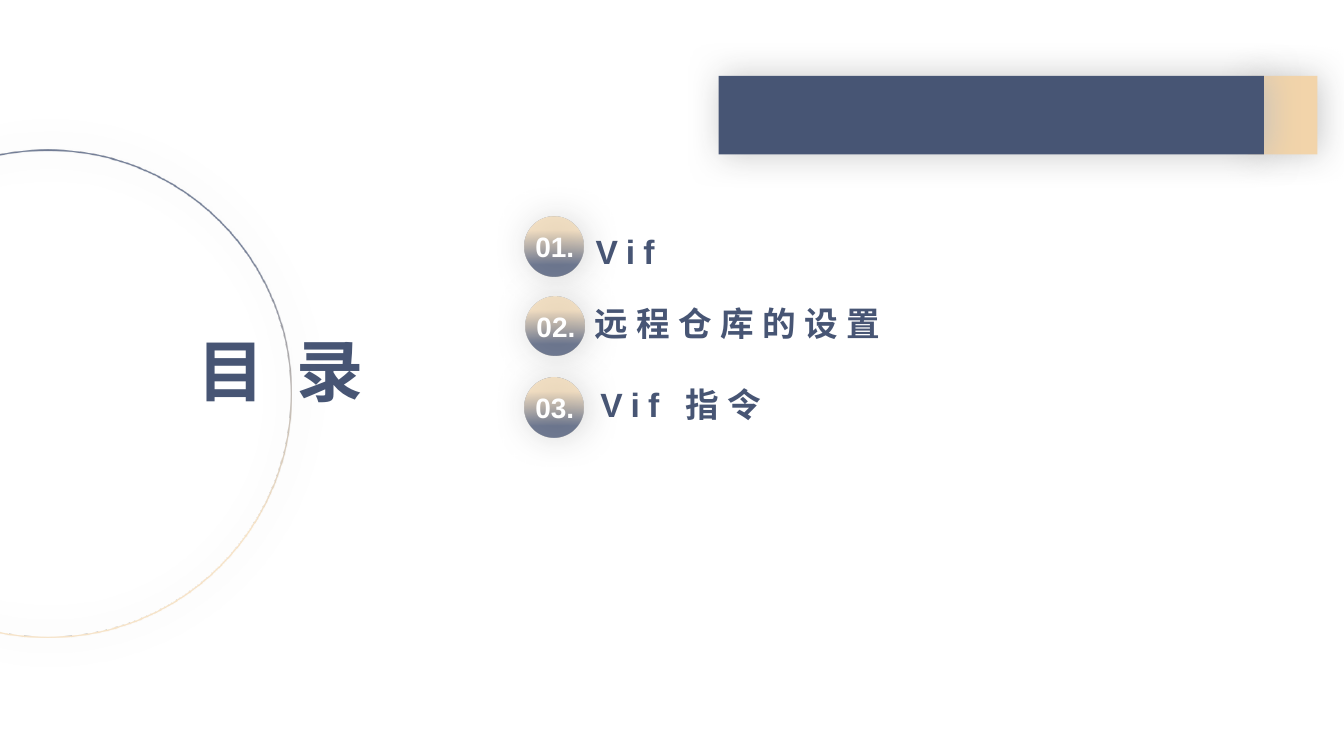
from dataclasses import dataclass

from lxml.etree import SubElement
from pptx import Presentation
from pptx.dml.color import RGBColor
from pptx.enum.shapes import MSO_SHAPE
from pptx.enum.text import MSO_AUTO_SIZE
from pptx.oxml.ns import qn
from pptx.util import Cm, Pt


@dataclass(frozen=True)
class Theme:
    """Colours, font and type sizes of the slide."""
    navy: str = "475574"
    sand: str = "F2D4AA"
    white: str = "FFFFFF"
    shade: str = "BFBFBF"
    font: str = "Arial"
    title: int = 48
    item: int = 24
    number: int = 20
    spacing: int = 6


THEME = Theme()
FADE = ((0.20, THEME.navy, 76), (0.77, THEME.sand, 66))


def add_alpha(color, percent):
    """Make a colour element partly transparent."""
    SubElement(color, qn("a:alpha"), val=str(percent * 1000))


def add_shadow(s):
    """Give a shape the soft grey shadow."""
    s.shadow.inherit = False
    effects = s._element.spPr.find(qn("a:effectLst"))
    outer = SubElement(effects, qn("a:outerShdw"), blurRad=str(Pt(24)),
                       dist=str(Pt(2)), dir="0", algn="ctr", rotWithShape="0")
    add_alpha(SubElement(outer, qn("a:srgbClr"), val=THEME.shade), 86)


def add_figure(shapes, kind, box, color=None, adj=None):
    """Add a borderless shape, solid in a colour or fading navy to sand."""
    s = shapes.add_shape(kind, *map(Cm, box))
    s.line.fill.background()
    if adj is not None:
        s.adjustments[0] = adj
    if color:
        s.fill.solid()
        s.fill.fore_color.rgb = RGBColor.from_string(color)
    else:
        s.fill.gradient()
        s.fill.gradient_angle = 270
        for stop, (position, tint, alpha) in zip(s.fill.gradient_stops, FADE):
            stop.position = position
            stop.color.rgb = RGBColor.from_string(tint)
            add_alpha(stop._gs.find(qn("a:srgbClr")), alpha)
    add_shadow(s)
    return s


def add_text(shapes, text, box, size, color, spacing=0, wrap=True):
    """Add a line of bold text, with letter spacing in points."""
    tf = shapes.add_textbox(*map(Cm, box)).text_frame
    tf.word_wrap = wrap
    tf.auto_size = MSO_AUTO_SIZE.SHAPE_TO_FIT_TEXT
    p = tf.paragraphs[0]
    p.font.name = THEME.font
    p.font.size = Pt(size)
    p.font.bold = True
    p.font.color.rgb = RGBColor.from_string(color)
    r = p.add_run()
    r.text = text
    if spacing:
        r.font._element.set("spc", str(spacing * 100))


def add_banner(slide):
    """Add the navy bar with its sand end."""
    shapes = slide.shapes.add_group_shape().shapes
    add_figure(shapes, MSO_SHAPE.RECTANGLE, (31.45, 1.91, 1.75, 1.98), THEME.sand)
    add_figure(shapes, MSO_SHAPE.ROUNDED_RECTANGLE, (18.11, 1.91, 13.74, 1.98),
               THEME.navy, 0)


def add_item(slide, number, text, badge, label):
    """Add a contents entry: a numbered badge and its label."""
    shapes = slide.shapes.add_group_shape().shapes
    left, top = badge
    s = add_figure(shapes, MSO_SHAPE.OVAL, (left, top, 1.5, 1.5))
    s._element.spPr.find(qn("a:xfrm")).set("flipV", "1")
    add_text(shapes, f"{number:02}.", (left + 0.03, top + 0.2, 2.31, 1.11),
             THEME.number, THEME.white)
    add_text(shapes, text, (*label, 1.27), THEME.item, THEME.navy,
             THEME.spacing, wrap=False)


def main():
    """Build the contents slide."""
    prs = Presentation()
    prs.slide_width, prs.slide_height = Cm(33.87), Cm(19.05)
    slide = prs.slides.add_slide(prs.slide_layouts[6])
    add_text(slide.shapes, "目 录", (4.72, 8.18, 5.41, 2.31),
             THEME.title, THEME.navy, THEME.spacing)
    add_banner(slide)
    add_figure(slide.shapes, MSO_SHAPE.DONUT, (-4.95, 3.77, 12.29, 12.29), adj=0.003)
    items = (
        ("Vif", (13.21, 5.47), (14.76, 5.7, 2.31)),
        ("远程仓库的设置", (13.24, 7.47), (14.73, 7.52, 8)),
        ("Vif 指令", (13.21, 9.52), (14.88, 9.55, 4.93)),
    )
    for number, (text, badge, label) in enumerate(items, 1):
        add_item(slide, number, text, badge, label)
    prs.save("out.pptx")


if __name__ == "__main__":
    main()
